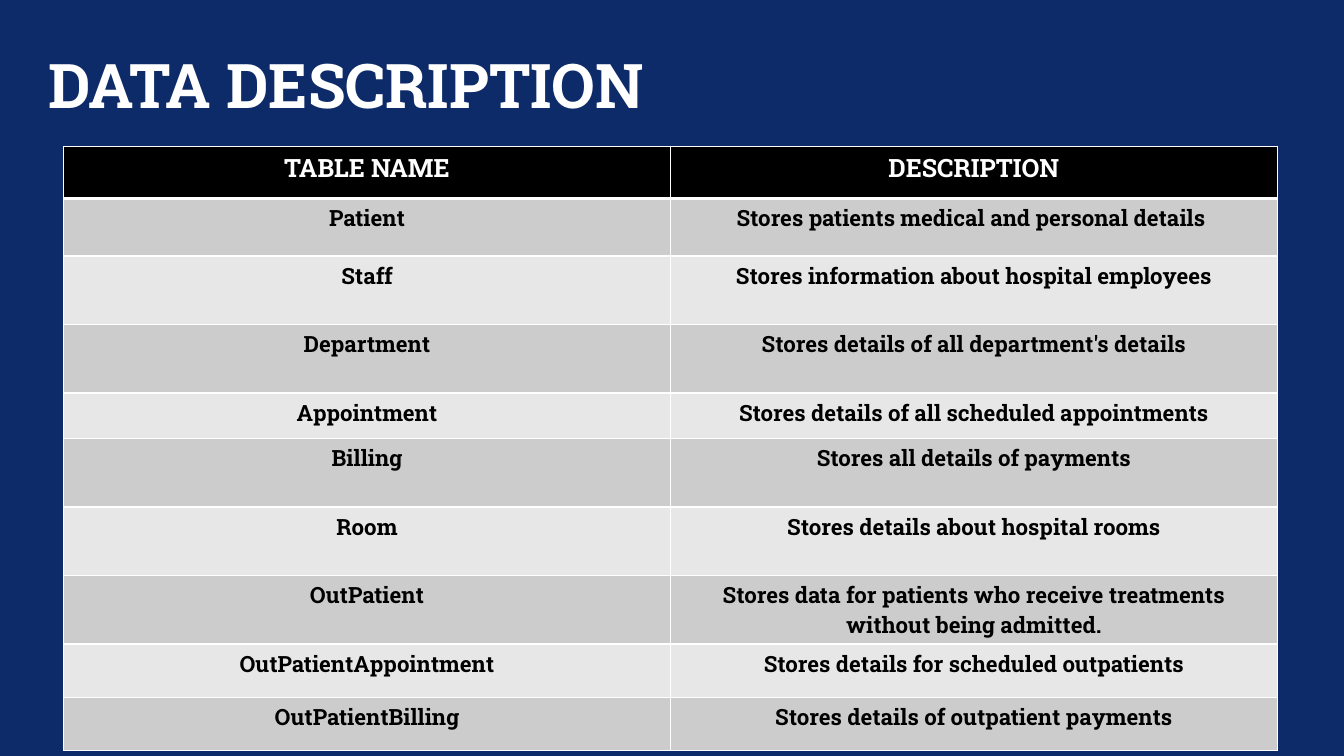
from lxml.etree import SubElement
from pptx import Presentation
from pptx.dml.color import RGBColor
from pptx.enum.text import MSO_ANCHOR, PP_ALIGN
from pptx.oxml.ns import qn
from pptx.util import Inches, Pt

NAVY = RGBColor(0x0D, 0x2B, 0x68)
WHITE = RGBColor(0xFF, 0xFF, 0xFF)
BLACK = RGBColor(0x00, 0x00, 0x00)
GREY = RGBColor(0xCC, 0xCC, 0xCC)
PALE = RGBColor(0xE7, 0xE7, 0xE7)

ROWS = [
    ("TABLE NAME", "DESCRIPTION", 0.52),
    ("Patient", "Stores patients medical and personal details ", 0.57),
    ("Staff", "Stores information about hospital employees", 0.68),
    ("Department", "Stores details of all department's details", 0.68),
    ("Appointment", "Stores details of all scheduled appointments", 0.45),
    ("Billing", "Stores all details of payments", 0.68),
    ("Room", "Stores details about hospital rooms", 0.68),
    ("OutPatient", "Stores data for patients who receive treatments without being admitted.", 0.68),
    ("OutPatientAppointment", "Stores details for scheduled outpatients", 0.53),
    ("OutPatientBilling", "Stores details of outpatient payments", 0.53),
]


class Deck:
    """Holds the slide style and draws each kind of element."""

    font = "Roboto Slab"

    def __init__(self):
        self.show = Presentation()
        self.show.slide_width = Inches(13.33)
        self.show.slide_height = Inches(7.5)
        self.slide = self.show.slides.add_slide(self.show.slide_layouts[6])
        fill = self.slide.background.fill
        fill.solid()
        fill.fore_color.rgb = NAVY

    def label(self, frame, text, size, color, align):
        frame.text = text
        para = frame.paragraphs[0]
        para.alignment = align
        for run in para.runs:
            run.font.name = self.font
            run.font.size = Pt(size)
            run.font.bold = True
            run.font.color.rgb = color
        return para

    def title(self, text, left, top, width, height):
        box = self.slide.shapes.add_textbox(
            Inches(left), Inches(top), Inches(width), Inches(height))
        frame = box.text_frame
        frame.word_wrap = True
        frame.vertical_anchor = MSO_ANCHOR.MIDDLE
        para = self.label(frame, text, 44, WHITE, PP_ALIGN.LEFT)
        para.line_spacing = 0.9

    def border(self, cell, top, bottom):
        props = cell._tc.get_or_add_tcPr()
        for side, width in (("L", 1), ("R", 1), ("T", top), ("B", bottom)):
            line = SubElement(props, qn(f"a:ln{side}"), w=str(Pt(width)))
            fill = SubElement(line, qn("a:solidFill"))
            SubElement(fill, qn("a:srgbClr"), val=str(WHITE))

    def table(self, rows, left, top, width):
        total = sum(row[-1] for row in rows)
        grid = self.slide.shapes.add_table(
            len(rows), 2, Inches(left), Inches(top), Inches(width), Inches(total)).table
        for i, (*texts, height) in enumerate(rows):
            grid.rows[i].height = Inches(height)
            head = i == 0
            shade = BLACK if head else GREY if i % 2 else PALE
            for j, text in enumerate(texts):
                cell = grid.cell(i, j)
                self.label(cell.text_frame, text, 18 if head else 16,
                           WHITE if head else BLACK, PP_ALIGN.CENTER)
                self.border(cell, 3 if i == 1 else 1, 3 if head else 1)
                cell.fill.solid()
                cell.fill.fore_color.rgb = shade


def main():
    deck = Deck()
    deck.title("DATA DESCRIPTION", 0.38, 0.3, 10.83, 1.15)
    deck.table(ROWS, 0.63, 1.45, 12.04)
    deck.show.save("out.pptx")


if __name__ == "__main__":
    main()
